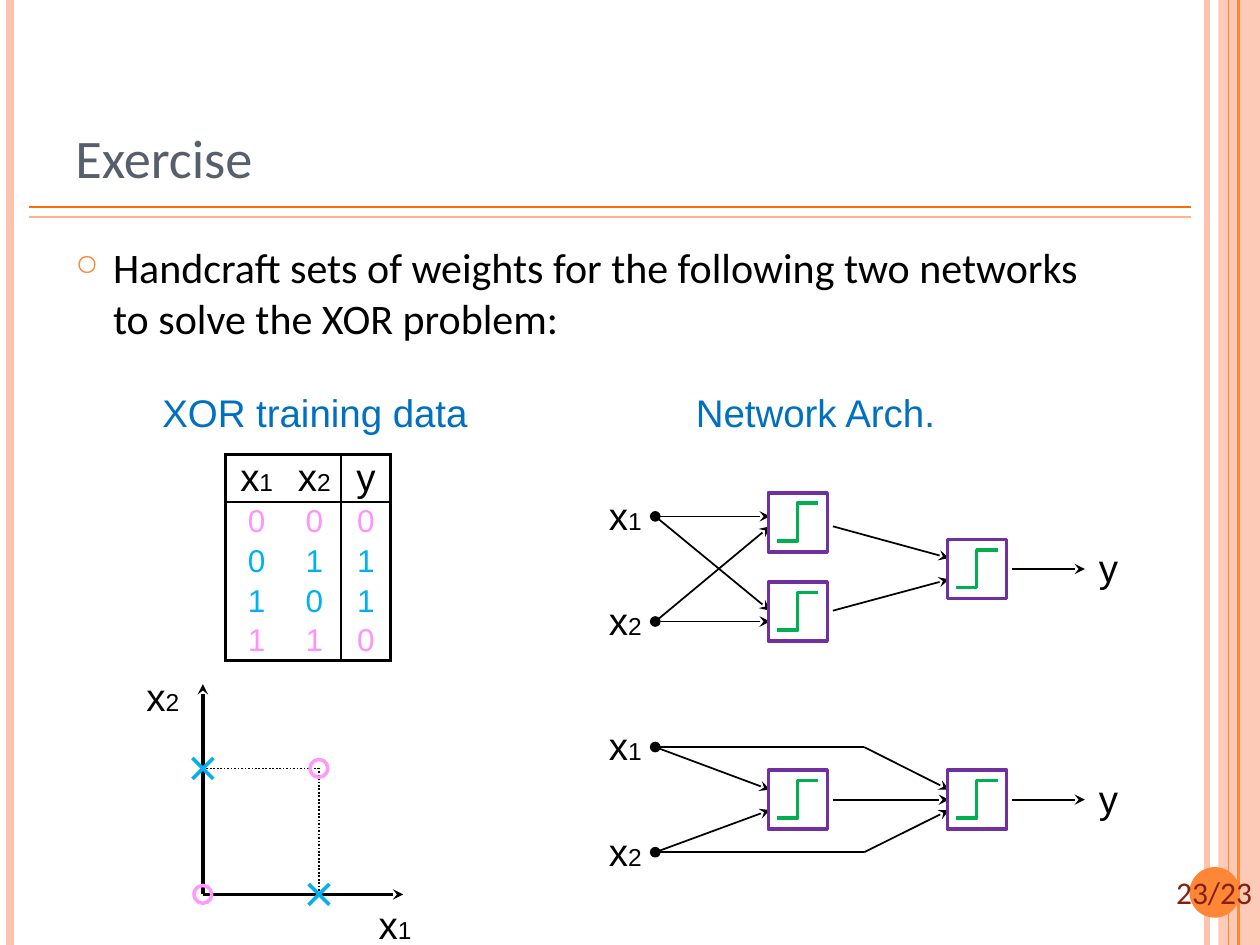
from lxml.etree import SubElement
from pptx import Presentation
from pptx.dml.color import RGBColor
from pptx.enum.dml import MSO_LINE
from pptx.enum.shapes import MSO_CONNECTOR, MSO_SHAPE
from pptx.enum.text import MSO_ANCHOR, PP_ALIGN
from pptx.oxml import parse_xml
from pptx.oxml.ns import nsdecls, qn
from pptx.util import Cm, Pt

BLACK, BLUE, PINK, CYAN = "000000", "0070C0", "FF92FB", "00B0F0"
ORANGE, PEACH = "FE8637", "FEC3AE"
NODE = 1.19  # side of a threshold unit
# Horizontal stations of both networks
INPUT_X, HIDDEN_X, OUTPUT_X, Y_X = 13.21, 15.49, 19.1, 21.87
HIDDEN_OUT, OUTPUT_OUT, BEND_X = 16.79, 20.4, 17.42
INPUT_GAP = 2.12


def rgb(color):
    return RGBColor.from_string(color)


def write(frame, *runs, size=22, font="Arial", color=BLACK, align=PP_ALIGN.CENTER,
          anchor=MSO_ANCHOR.TOP, wrap=False, spacing=None, before=0):
    """Fill a text frame; a run is a text or a (text, size) pair."""
    frame.word_wrap, frame.vertical_anchor = wrap, anchor
    paragraph = frame.paragraphs[0]
    paragraph.alignment, paragraph.space_before = align, Pt(before)
    if spacing:
        paragraph.line_spacing = spacing
    for item in runs:
        text, points = item if isinstance(item, tuple) else (item, size)
        run = paragraph.add_run()
        run.text = text
        run.font.size, run.font.name = Pt(points), font
        run.font.color.rgb = rgb(color)
    return paragraph


def text_box(slide, left, top, width, height, *runs, **fmt):
    box = slide.shapes.add_textbox(Cm(left), Cm(top), Cm(width), Cm(height))
    return write(box.text_frame, *runs, **fmt)


def variable(name):
    """Runs for a variable whose index is set smaller."""
    return [name[0]] + [(index, 14) for index in name[1:]]


def label(slide, left, top, name, width=1.19):
    text_box(slide, left, top, width, 0.89, *variable(name), spacing=0.65, before=6.6)


def line(slide, x1, y1, x2, y2, color=BLACK, weight=1, arrow=False, dotted=False):
    link = slide.shapes.add_connector(MSO_CONNECTOR.STRAIGHT, Cm(x1), Cm(y1), Cm(x2), Cm(y2))
    link.line.color.rgb, link.line.width = rgb(color), Pt(weight)
    if dotted:
        link.line.dash_style = MSO_LINE.ROUND_DOT
    properties = link._element.spPr
    if arrow:
        SubElement(properties.find(qn("a:ln")), qn("a:tailEnd"), type="stealth")
    SubElement(properties, qn("a:effectLst"))


def style(shape, fill=None, outline=None, weight=1):
    shape.shadow.inherit = False
    if fill:
        shape.fill.solid()
        shape.fill.fore_color.rgb = rgb(fill)
    else:
        shape.fill.background()
    if outline:
        shape.line.color.rgb, shape.line.width = rgb(outline), Pt(weight)
    else:
        shape.line.fill.background()
    return shape


def preset(slide, kind, left, top, width, height, **look):
    shape = slide.shapes.add_shape(kind, Cm(left), Cm(top), Cm(width), Cm(height))
    return style(shape, **look)


def circle(slide, x, y, radius, **look):
    preset(slide, MSO_SHAPE.OVAL, x - radius, y - radius, 2 * radius, 2 * radius, **look)


def threshold_unit(slide, left, top):
    preset(slide, MSO_SHAPE.RECTANGLE, left, top, NODE, NODE, outline="7030A0", weight=2)
    low, high, middle = top + 0.97, top + 0.21, left + 0.59
    step = slide.shapes.build_freeform(Cm(left + 0.17), Cm(low))
    corners = [(middle, low), (middle, high), (left + 1.01, high)]
    step.add_line_segments([(Cm(x), Cm(y)) for x, y in corners], close=False)
    style(step.convert_to_shape(), outline="00B050", weight=2)


def decoration(slide):
    # Vertical bands
    for x, color, weight in [(24.33, PEACH, 3), (0.2, PEACH, 4.5)]:
        line(slide, x, 0, x, 19.05, color, weight)
    band = preset(slide, MSO_SHAPE.RECTANGLE, 24.56, 0, 0.84, 19.05, fill=PEACH)
    band_color = band._element.spPr.find(qn("a:solidFill"))[0]
    SubElement(band_color, qn("a:alpha"), val="87000")
    for x, weight in [(24.97, 1.5), (24.77, 0.75)]:
        line(slide, x, 0, x, 19.05, ORANGE, weight)
    # Rules under the title
    for y, color in [(4.17, "FF6B0A"), (4.37, "FEB687")]:
        line(slide, 0.58, y, 24, y, color)
    # Page number
    circle(slide, 24.49, 17.99, 0.51, fill=ORANGE)
    text_box(slide, 23.32, 17.48, 2.31, 1.02, "23/23", size=18, font="Calibri",
             color="862110", anchor=MSO_ANCHOR.MIDDLE)


def headings(slide):
    text_box(slide, 1.27, 0.76, 20.75, 3.18, "Exercise", size=31, font="Calibri",
             color="575F6D", align=PP_ALIGN.LEFT, anchor=MSO_ANCHOR.BOTTOM, wrap=True)
    task = text_box(slide, 1.27, 4.75, 21.44, 13.23,
                    "Handcraft sets of weights for the following two networks "
                    "to solve the XOR problem:",
                    size=24, font="Calibri", align=PP_ALIGN.LEFT, wrap=True, before=6)
    properties = task._p.get_or_add_pPr()
    properties.set("marL", str(Cm(0.76)))
    properties.set("indent", str(Cm(-0.76)))
    color = SubElement(properties, qn("a:buClr"))
    SubElement(color, qn("a:srgbClr"), val=ORANGE)
    SubElement(properties, qn("a:buSzPct"), val="70000")
    SubElement(properties, qn("a:buChar"), char="○")
    for left, width, title in [(2.72, 6.96, "XOR training data"), (13.69, 5.41, "Network Arch.")]:
        text_box(slide, left, 7.72, width, 1.19, title, color=BLUE, align=PP_ALIGN.RIGHT)


def borders(cell, **weights):
    """Draw the cell edges L, R, T and B; a weight of 0 hides an edge."""
    properties = cell._tc.get_or_add_tcPr()
    for position, edge in enumerate("LRTB"):
        weight = weights[edge]
        paint = f'<a:solidFill><a:srgbClr val="{BLACK}"/></a:solidFill>' if weight else "<a:noFill/>"
        properties.insert(position, parse_xml(
            f'<a:ln{edge} {nsdecls("a")} w="{Pt(weight)}">{paint}</a:ln{edge}>'))


def truth_table(slide):
    rows = [("x1", "x2", "y"), "000", "011", "101", "110"]
    heights = [0.95] + [0.8] * 4
    widths = [1.25, 1.07, 1.01]
    table = slide.shapes.add_table(5, 3, Cm(4.55), Cm(9.17), Cm(sum(widths)),
                                   Cm(sum(heights))).table
    table.first_row = table.horz_banding = False
    for column, width in zip(table.columns, widths):
        column.width = Cm(width)
    for r, values in enumerate(rows):
        table.rows[r].height = Cm(heights[r])
        for c, value in enumerate(values):
            cell = table.cell(r, c)
            cell.margin_left = cell.margin_right = cell.margin_top = cell.margin_bottom = 0
            cell.vertical_anchor = MSO_ANCHOR.MIDDLE
            cell.fill.background()
            borders(cell, L={0: 2, 2: 1}.get(c, 0), R={1: 1, 2: 2}.get(c, 0),
                    T={0: 2, 1: 1}.get(r, 0), B={0: 1, 4: 2}.get(r, 0))
            if r == 0:
                write(cell.text_frame, *variable(value), anchor=MSO_ANCHOR.MIDDLE, wrap=True)
            else:
                write(cell.text_frame, value, size=18, anchor=MSO_ANCHOR.MIDDLE, wrap=True,
                      color=CYAN if values[2] == "1" else PINK)


def input_plot(slide):
    x0, y0, x1, y1 = 4.09, 18.03, 6.43, 15.49
    line(slide, x0, y1, x1, y1, dotted=True)
    line(slide, x1, y0, x1, y1, dotted=True)
    # Axes
    line(slide, x0, y0, 8.13, y0, weight=2, arrow=True)
    line(slide, x0, y0, x0, 13.79, weight=2, arrow=True)
    label(slide, 7.37, 18.34, "x1")
    label(slide, 2.69, 13.74, "x2")
    # Class 1 as crosses, class 0 as rings
    for x, y in [(x1, y0), (x0, y1)]:
        for rise in (0.21, -0.21):
            line(slide, x - 0.21, y + rise, x + 0.21, y - rise, CYAN, 2)
    for x, y in [(x1, y1), (x0, y0)]:
        circle(slide, x, y, 0.18, outline="FF99FF", weight=2)


def network(slide, top, arrows, bends, units):
    """Draw a network; its heights count down from the first input."""
    middle = INPUT_GAP / 2
    for name, y in [("x1", top), ("x2", top + INPUT_GAP)]:
        label(slide, 12.01, y - 0.33, name)
        circle(slide, INPUT_X, y, 0.09, fill=BLACK, outline=BLACK)
    label(slide, 21.89, top + middle - 0.33, "y", width=0.91)
    for x1, y1, x2, y2 in arrows + [(OUTPUT_OUT, middle, Y_X, middle)]:
        line(slide, x1, top + y1, x2, top + y2, arrow=True)
    for y in bends:
        line(slide, INPUT_X, top + y, BEND_X, top + y)
    for left, center in units + [(OUTPUT_X, middle)]:
        threshold_unit(slide, left, top + center - NODE / 2)


def main():
    deck = Presentation()
    deck.slide_width, deck.slide_height = Cm(25.4), Cm(19.05)
    slide = deck.slides.add_slide(deck.slide_layouts[6])
    decoration(slide)
    headings(slide)
    truth_table(slide)
    input_plot(slide)
    hidden, output = HIDDEN_X + 0.03, OUTPUT_X + 0.03
    # Two hidden units
    network(slide, 10.41, bends=[], units=[(HIDDEN_X, 0.12), (HIDDEN_X, 1.92)], arrows=[
        (INPUT_X, 0, hidden, 0), (INPUT_X, 0, hidden, 1.9),
        (INPUT_X, INPUT_GAP, hidden, INPUT_GAP), (INPUT_X, INPUT_GAP, hidden, 0.2),
        (HIDDEN_OUT, 0.2, output, 0.84), (HIDDEN_OUT, 1.9, output, 1.27)])
    # One hidden unit with skip links
    network(slide, 15.06, bends=[0, INPUT_GAP], units=[(HIDDEN_X, INPUT_GAP / 2)], arrows=[
        (INPUT_X, 0, hidden, 0.86), (INPUT_X, INPUT_GAP, hidden, 1.27),
        (HIDDEN_OUT, INPUT_GAP / 2, output, INPUT_GAP / 2),
        (BEND_X, 0, output, 0.86), (BEND_X, INPUT_GAP, output, 1.27)])
    deck.save("out.pptx")


if __name__ == "__main__":
    main()
